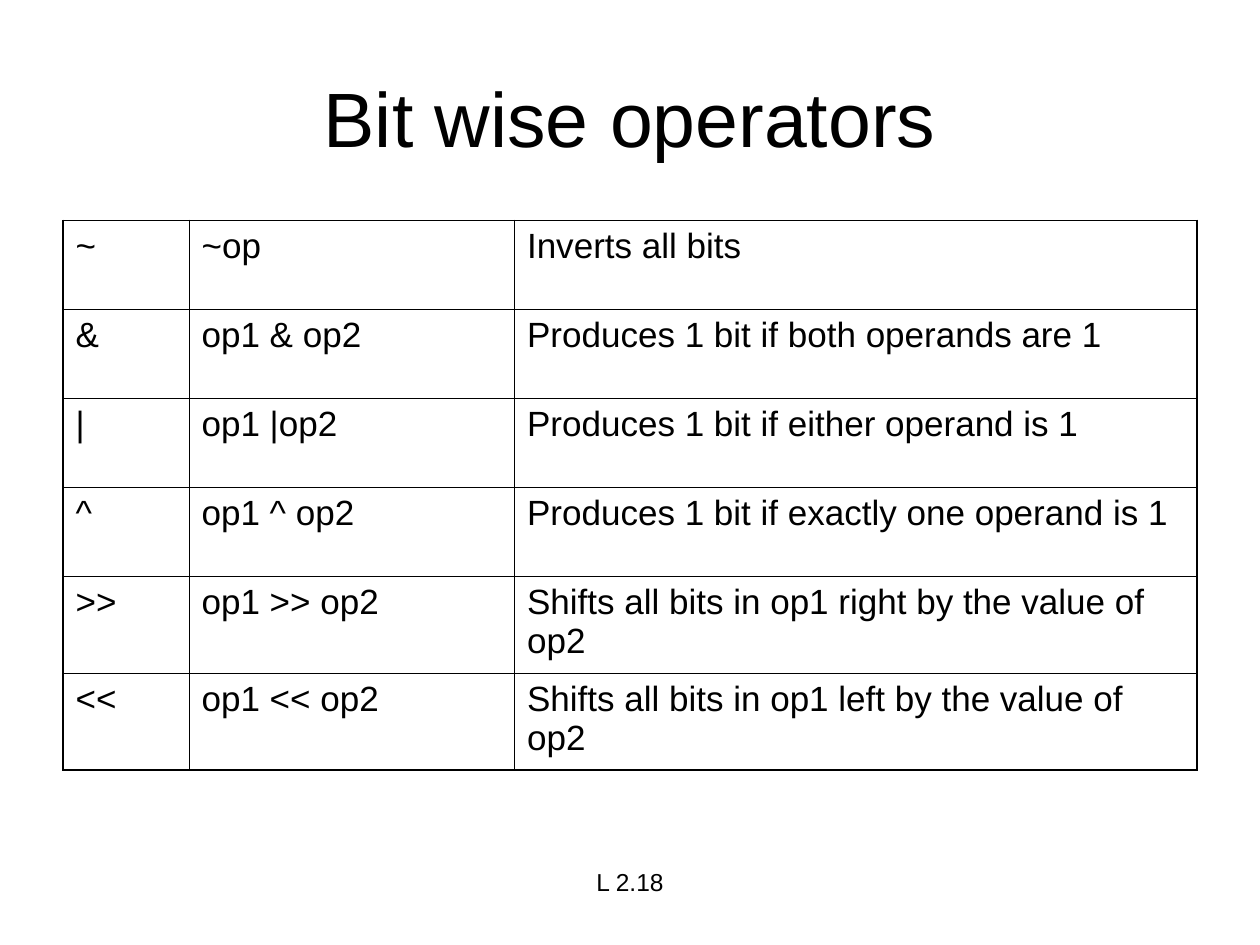
from dataclasses import dataclass

from lxml import etree
from pptx import Presentation
from pptx.dml.color import RGBColor
from pptx.enum import text
from pptx.oxml import ns
from pptx.util import Pt


@dataclass(frozen=True)
class Theme:
    font: str = "Arial"
    ink: str = "000000"
    head: float = 44
    body: float = 20
    foot: float = 14
    thin: float = 0.45
    edge: float = 1.08


THEME = Theme()
COLS = (72, 186, 390)
ROWS = (50.8,) * 4 + (55.4,) * 2
OPS = (
    ("~", "~op", "Inverts all bits"),
    ("&", "op1 & op2", "Produces 1 bit if both operands are 1"),
    ("|", "op1 |op2", "Produces 1 bit if either operand is 1"),
    ("^", "op1 ^ op2", "Produces 1 bit if exactly one operand is 1"),
    (">>", "op1 >> op2", "Shifts all bits in op1 right by the value of op2"),
    ("<<", "op1 << op2", "Shifts all bits in op1 left by the value of op2"),
)


def style(para, size):
    for run in para.runs:
        run.font.name = THEME.font
        run.font.size = Pt(size)
        run.font.color.rgb = RGBColor.from_string(THEME.ink)


def label(slide, box, words, size, anchor):
    """Place one centred line of text in the box."""
    frame = slide.shapes.add_textbox(*map(Pt, box)).text_frame
    frame.word_wrap = True
    frame.vertical_anchor = anchor
    frame.text = words
    para = frame.paragraphs[0]
    para.alignment = text.PP_ALIGN.CENTER
    style(para, size)


def border(cell, side, width):
    props = cell._tc.get_or_add_tcPr()
    line = etree.SubElement(props, ns.qn(f"a:ln{side}"), w=str(Pt(width)))
    fill = etree.SubElement(line, ns.qn("a:solidFill"))
    etree.SubElement(fill, ns.qn("a:srgbClr"), val=THEME.ink)


def grid(slide, box):
    """Place the operator table with a heavier outer frame."""
    frame = slide.shapes.add_table(len(ROWS), len(COLS), *map(Pt, box))
    table = frame.table
    table.first_row = table.horz_banding = False
    for col, width in zip(table.columns, COLS):
        col.width = Pt(width)
    for row, height in zip(table.rows, ROWS):
        row.height = Pt(height)

    for r, row in enumerate(OPS):
        for c, words in enumerate(row):
            cell = table.cell(r, c)
            cell.text = words
            para = cell.text_frame.paragraphs[0]
            para.space_before = Pt(5)
            style(para, THEME.body)
            outer = {
                "L": c == 0,
                "R": c == len(COLS) - 1,
                "T": r == 0,
                "B": r == len(ROWS) - 1,
            }
            for side, heavy in outer.items():
                border(cell, side, THEME.edge if heavy else THEME.thin)
            cell.fill.background()


def main():
    deck = Presentation()
    deck.slide_width, deck.slide_height = Pt(720), Pt(540)
    slide = deck.slides.add_slide(deck.slide_layouts[6])

    # Title
    label(slide, (36, 21.6, 648, 90), "Bit wise operators",
          THEME.head, text.MSO_ANCHOR.MIDDLE)
    # Operators
    grid(slide, (36, 126, sum(COLS), sum(ROWS)))
    # Page number
    label(slide, (246, 492, 228, 37.5), "L 2.18",
          THEME.foot, text.MSO_ANCHOR.TOP)

    deck.save("out.pptx")


if __name__ == "__main__":
    main()
